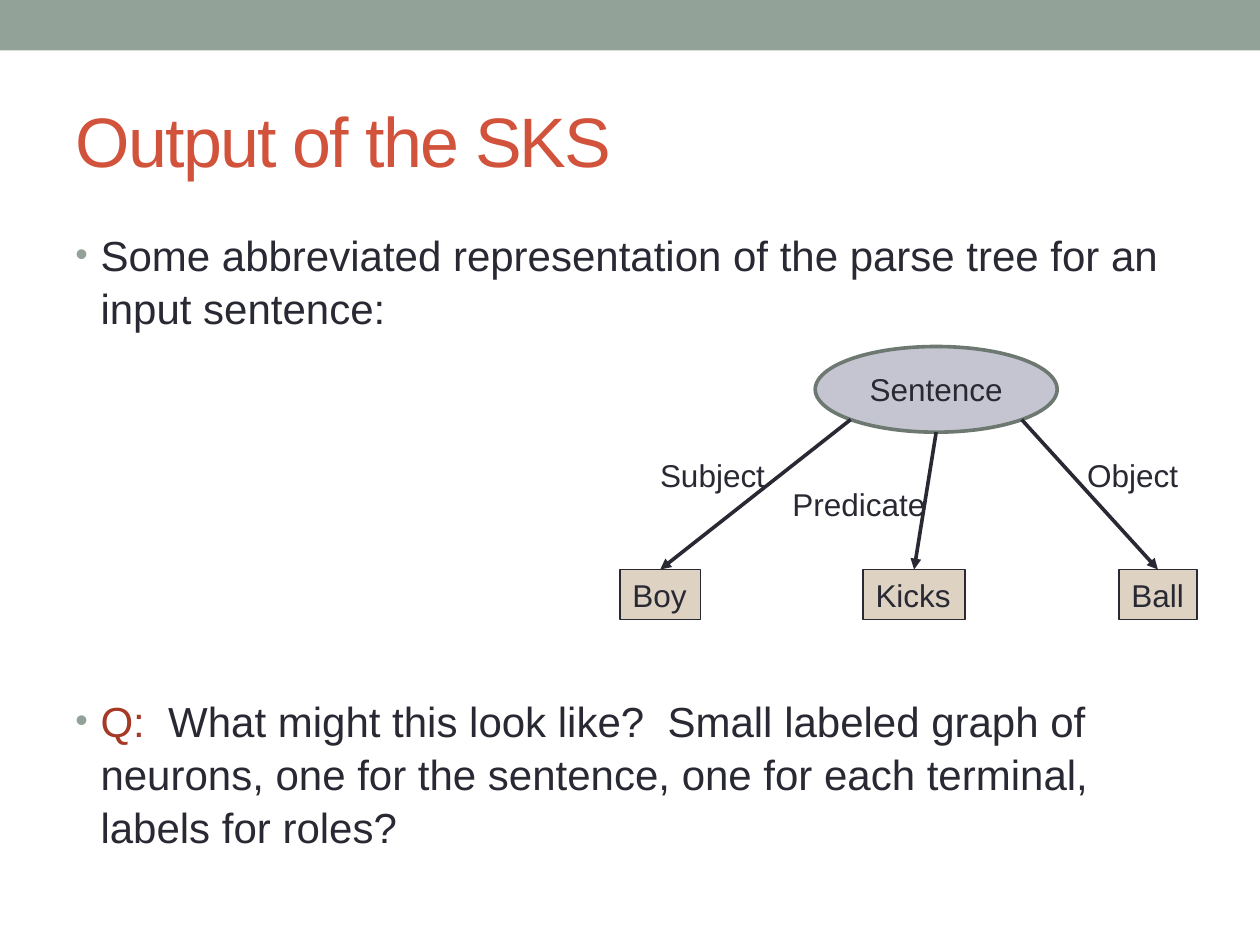
import math

import pptx
import pptx.dml.color
import pptx.enum.shapes
import pptx.enum.text
import pptx.oxml
import pptx.oxml.ns
import pptx.util

PX = 9144  # EMU in one px, 100 px to the inch
FONT = "Arial"
COLORS = {
    "bar": "93A299",
    "title": "D2533C",
    "text": "292934",
    "question": "A53926",
    "root": "C5C5D1",
    "root_line": "6D7871",
    "leaf": "DED2C2",
}
ANCHOR = pptx.enum.text.MSO_ANCHOR
ALIGN = pptx.enum.text.PP_ALIGN
SHAPE = pptx.enum.shapes.MSO_SHAPE


def px(*lengths):
    return [pptx.util.Emu(round(length * PX)) for length in lengths]


def color(name):
    return pptx.dml.color.RGBColor.from_string(COLORS[name])


def set_font(font, size, name):
    font.name = FONT
    font.size = pptx.util.Pt(size)
    font.color.rgb = color(name)


def add_xml(parent, tag, content="", **attributes):
    values = "".join(f' {key}="{value}"' for key, value in attributes.items())
    parent.append(pptx.oxml.parse_xml(
        f'<a:{tag} {pptx.oxml.ns.nsdecls("a")}{values}>{content}</a:{tag}>'))


def add_node(slide, kind, box, fill, line=None, width=0):
    shape = slide.shapes.add_shape(kind, *px(*box))
    shape.shadow.inherit = False
    shape.fill.solid()
    shape.fill.fore_color.rgb = color(fill)
    if line:
        shape.line.color.rgb = color(line)
        shape.line.width = pptx.util.Pt(width)
    else:
        shape.line.fill.background()
    return shape


def write_label(shape, text, alignment=ALIGN.LEFT, fit=True):
    """Write one 18 pt line, with the shape fitted to it if asked."""
    frame = shape.text_frame
    frame.text = text
    frame.word_wrap = not fit
    if fit:
        frame.auto_size = pptx.enum.text.MSO_AUTO_SIZE.SHAPE_TO_FIT_TEXT
    frame.vertical_anchor = ANCHOR.TOP if fit else ANCHOR.MIDDLE
    frame.paragraphs[0].alignment = alignment
    set_font(frame.paragraphs[0].font, 18, "text")


def add_arrow(slide, start, end):
    connector = slide.shapes.add_connector(
        pptx.enum.shapes.MSO_CONNECTOR.STRAIGHT, *px(*start, *end))
    connector.line.color.rgb = color("text")
    connector.line.width = pptx.util.Pt(2.08)
    add_xml(connector.line._get_or_add_ln(), "tailEnd", type="triangle")
    add_xml(connector._element.spPr, "effectLst")


def place_title(slide, box, text):
    title = slide.shapes.title
    title.left, title.top, title.width, title.height = px(*box)
    frame = title.text_frame
    frame.text = text
    frame.vertical_anchor = ANCHOR.MIDDLE
    paragraph = frame.paragraphs[0]
    paragraph.alignment = ALIGN.LEFT
    set_font(paragraph.font, 40, "title")
    paragraph.runs[0].font._element.set("spc", "-100")


def add_bullets(slide, box, bullets, gap):
    """Add bullets, each a list of (text, color name), gap points apart."""
    frame = slide.shapes.add_textbox(*px(*box)).text_frame
    frame.word_wrap = True
    indent = px(20)[0]
    for index, runs in enumerate(bullets):
        paragraph = frame.add_paragraph() if index else frame.paragraphs[0]
        properties = paragraph._p.get_or_add_pPr()
        properties.set("marL", str(indent))
        properties.set("indent", str(-indent))
        paragraph.line_spacing = 1.05
        if index:
            paragraph.space_before = pptx.util.Pt(gap)
        add_xml(properties, "buClr", f'<a:srgbClr val="{COLORS["bar"]}"/>')
        add_xml(properties, "buSzPct", val="85000")
        add_xml(properties, "buFont", typeface=FONT)
        add_xml(properties, "buChar", char="•")
        for text, name in runs:
            run = paragraph.add_run()
            run.text = text
            set_font(run.font, 24, name)


def add_parse_tree(slide, box):
    left, top, width, height = box
    root_left, root_width, root_height = left + 155, 192, 68
    root = add_node(slide, SHAPE.OVAL, (root_left, top, root_width, root_height),
                    "root", "root_line", 2.08)
    write_label(root, "Sentence", ALIGN.CENTER, fit=False)

    leaf_height = 40
    leaf_top = top + height - leaf_height
    # word, left, width, angle where the arrow leaves the root
    leaves = [("Boy", 0, 64, 135), ("Kicks", 193, 81, 90), ("Ball", 396, 62, 45)]
    for word, offset, leaf_width, angle in leaves:
        leaf_left = left + offset
        leaf = add_node(slide, SHAPE.RECTANGLE,
                        (leaf_left, leaf_top, leaf_width, leaf_height),
                        "leaf", "text", 0.75)
        write_label(leaf, word)
        radians = math.radians(angle)
        start = (root_left + root_width / 2 * (1 + math.cos(radians)),
                 top + root_height / 2 * (1 + math.sin(radians)))
        add_arrow(slide, start, (leaf_left + leaf_width / 2, leaf_top))

    roles = [("Subject", 22, 82, 104), ("Predicate", 127, 105, 127),
             ("Object", 361, 82, 93)]
    for role, x, y, role_width in roles:
        label = slide.shapes.add_textbox(*px(left + x, top + y, role_width, 40))
        write_label(label, role)


def main():
    presentation = pptx.Presentation()
    presentation.slide_width, presentation.slide_height = px(1000, 750)
    slide = presentation.slides.add_slide(presentation.slide_layouts[5])
    add_node(slide, SHAPE.RECTANGLE, (0, 0, 1000, 40), "bar")
    place_title(slide, (50, 57, 900, 108), "Output of the SKS")
    add_bullets(slide, (50, 175, 900, 533), [
        [("Some abbreviated representation of the parse tree for an input "
          "sentence:", "text")],
        [("Q:  ", "question"),
         ("What might this look like?  Small labeled graph of neurons, one for "
          "the sentence, one for each terminal, labels for roles?", "text")],
    ], gap=206)
    add_parse_tree(slide, (492, 275, 458, 217))
    presentation.save("out.pptx")


if __name__ == "__main__":
    main()
